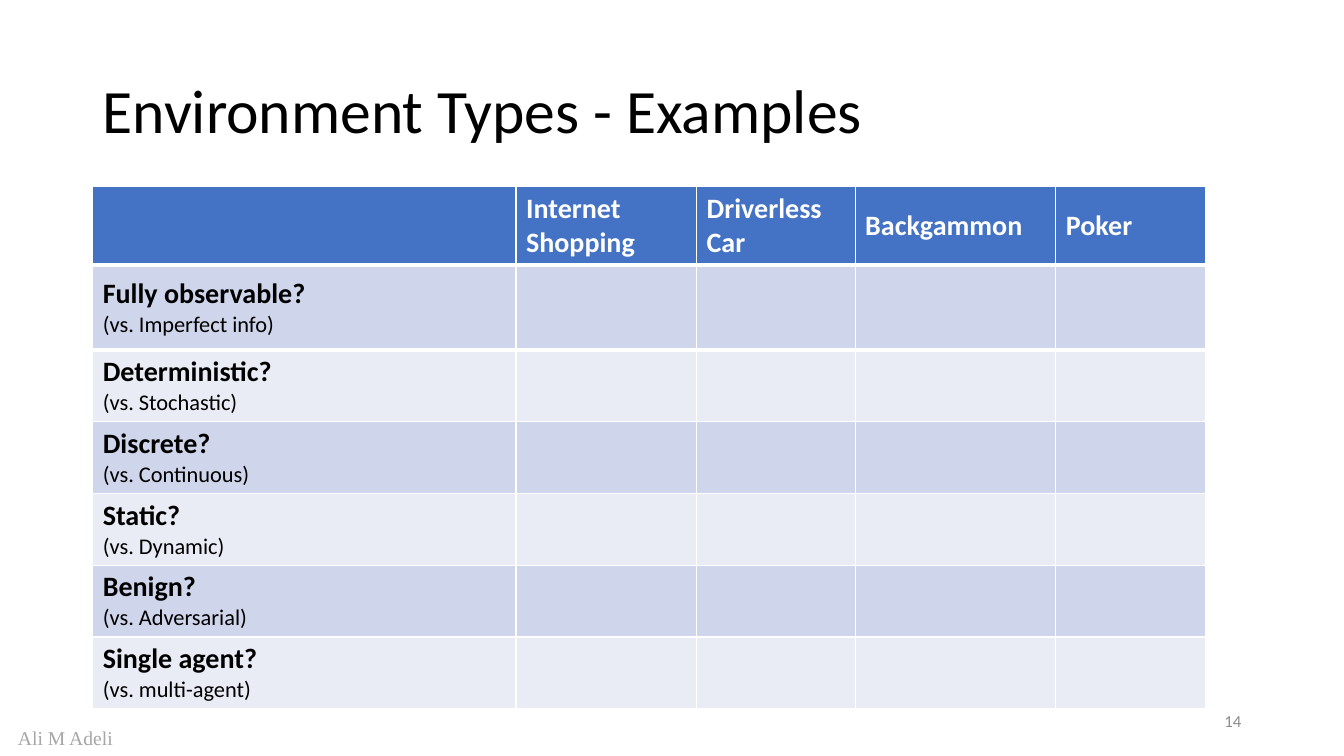
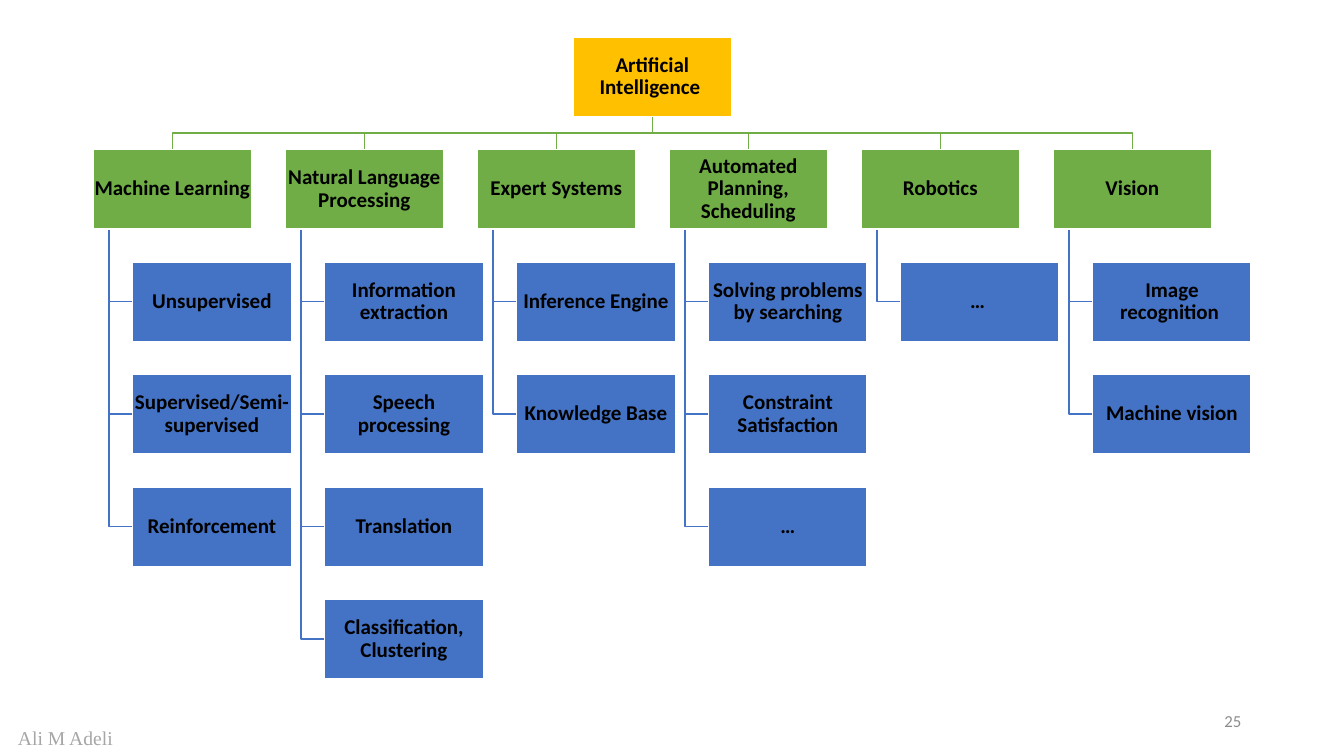
"""Build two slides: a table of environment types and a tree of AI fields."""
from lxml import etree
from pptx import Presentation
from pptx.dml.color import RGBColor
from pptx.enum.shapes import MSO_SHAPE
from pptx.enum.text import MSO_ANCHOR, PP_ALIGN
from pptx.oxml.ns import qn
from pptx.util import Inches, Pt

RECT = MSO_SHAPE.RECTANGLE
TOP, MIDDLE = MSO_ANCHOR.TOP, MSO_ANCHOR.MIDDLE
LEFT, CENTER, RIGHT = PP_ALIGN.LEFT, PP_ALIGN.CENTER, PP_ALIGN.RIGHT

WHITE, BLACK, GREY, SILVER = "FFFFFF", "000000", "8C8C8C", "A6A6A6"
BLUE, GREEN, GOLD = "4472C4", "70AD47", "FFC000"
BANDS = "CFD5EA", "E9EBF5"
SANS, SERIF = "Calibri", "Times New Roman"

MARGIN = 6.9
COL, ROW = 100 / 7, 14.88
BOX_W, BOX_H = 11.8, 10.5
TREE_LEFT, TREE_TOP = 6.92, 4.9

WIDTHS = 31.5, 13.43, 11.8, 14.93, 11.14
HEIGHTS = [10.4, 11.2] + [9.5] * 5
HEADS = "", "Internet Shopping", "Driverless Car", "Backgammon", "Poker"
TRAITS = [
    ("Fully observable?", "(vs. Imperfect info)"),
    ("Deterministic?", "(vs. Stochastic)"),
    ("Discrete?", "(vs. Continuous)"),
    ("Static?", "(vs. Dynamic)"),
    ("Benign?", "(vs. Adversarial)"),
    ("Single agent?", "(vs. multi-agent)"),
]
FIELDS = {
    "Machine Learning": ["Unsupervised", "Supervised/Semi-supervised", "Reinforcement"],
    "Natural Language Processing": ["Information extraction", "Speech processing",
                                    "Translation", "Classification, Clustering"],
    "Expert Systems": ["Inference Engine", "Knowledge Base"],
    "Automated Planning, Scheduling": ["Solving problems by searching",
                                       "Constraint Satisfaction", "…"],
    "Robotics": ["… "],
    "Vision": ["Image recognition ", "Machine vision"],
}


def color(code):
    return RGBColor.from_string(code)


class Deck:
    def __init__(self):
        self.prs = Presentation()
        self.prs.slide_width, self.prs.slide_height = Inches(13.33), Inches(7.5)
        self.slide = None

    def across(self, share):
        return round(self.prs.slide_width * share / 100)

    def down(self, share):
        return round(self.prs.slide_height * share / 100)

    def place(self, x, y, w, h):
        return self.across(x), self.down(y), self.across(w), self.down(h)

    def start(self, number):
        self.slide = self.prs.slides.add_slide(self.prs.slide_layouts[6])
        self.text((0.6, 95.33, 11, 4.5), "Ali M Adeli", 14, SILVER, face=SERIF, anchor=TOP)
        self.text((70.6, 92.67, 22.5, 5.33), str(number), 12, GREY, align=RIGHT)

    def style(self, para, text, size, code, bold=False, face=SANS, align=LEFT):
        para.text = text
        para.alignment = align
        font = para.font
        font.name, font.size, font.bold = face, Pt(size), bold
        font.color.rgb = color(code)

    def text(self, area, text, size, code, face=SANS, align=LEFT, anchor=MIDDLE):
        frame = self.slide.shapes.add_textbox(*self.place(*area)).text_frame
        frame.word_wrap = True
        frame.vertical_anchor = anchor
        self.style(frame.paragraphs[0], text, size, code, face=face, align=align)
        return frame.paragraphs[0]

    def title(self, text):
        self.text((MARGIN, 5.33, 86.25, 19.33), text, 44, BLACK).line_spacing = 0.9

    def cell(self, cell, fill, lines):
        cell.fill.solid()
        cell.fill.fore_color.rgb = color(fill)
        cell.vertical_anchor = MIDDLE
        frame = cell.text_frame
        for i, line in enumerate(lines):
            para = frame.add_paragraph() if i else frame.paragraphs[0]
            self.style(para, *line)

    def edge(self, cell, side):
        rule = etree.Element(qn(side), w=str(Pt(3)))
        fill = etree.SubElement(rule, qn("a:solidFill"))
        etree.SubElement(fill, qn("a:srgbClr"), val=WHITE)
        cell._tc.get_or_add_tcPr().insert(0, rule)

    def table(self, x, y):
        area = self.place(x, y, sum(WIDTHS), sum(HEIGHTS))
        table = self.slide.shapes.add_table(len(HEIGHTS), len(WIDTHS), *area).table
        for column, width in zip(table.columns, WIDTHS):
            column.width = self.across(width)
        for row, height in zip(table.rows, HEIGHTS):
            row.height = self.down(height)
        for r, (trait, versus) in enumerate(TRAITS):
            label = [(trait, 20, BLACK, True), (versus, 16, BLACK)]
            for c in range(len(HEADS)):
                self.cell(table.cell(r + 1, c), BANDS[r % 2], [] if c else label)
        for c, head in enumerate(HEADS):
            self.cell(table.cell(0, c), BLUE, [(head, 20, WHITE, True)])
            self.edge(table.cell(0, c), "a:lnB")
            self.edge(table.cell(1, c), "a:lnT")

    def box(self, x, y, fill, text):
        box = self.slide.shapes.add_shape(RECT, *self.place(x, y, BOX_W, BOX_H))
        box.shadow.inherit = False
        box.fill.solid()
        box.fill.fore_color.rgb = color(fill)
        box.line.color.rgb = color(WHITE)
        box.line.width = Pt(1)
        frame = box.text_frame
        frame.word_wrap = True
        frame.vertical_anchor = MIDDLE
        frame.margin_left = frame.margin_right = Inches(0.01)
        frame.margin_top = frame.margin_bottom = Inches(0.01)
        para = frame.paragraphs[0]
        self.style(para, text, 15, BLACK, True, align=CENTER)
        para.line_spacing = 0.9

    def bend(self, code, *points):
        first, *rest = [(self.across(x), self.down(y)) for x, y in points]
        pen = self.slide.shapes.build_freeform(*first)
        pen.add_line_segments(rest, close=False)
        path = pen.convert_to_shape()
        path.shadow.inherit = False
        path.fill.background()
        path.line.color.rgb = color(code)
        path.line.width = Pt(1)

    def tree(self, name, fields):
        root = TREE_LEFT + (len(fields) - 1) / 2 * COL
        mid, foot = root + BOX_W / 2, TREE_TOP + BOX_H
        head = TREE_TOP + ROW
        bar = (foot + head) / 2
        boxes = [(root, TREE_TOP, GOLD, name)]
        for col, (field, leaves) in enumerate(fields.items()):
            x = TREE_LEFT + col * COL
            stem = x + BOX_W / 2
            self.bend(GREEN, (mid, foot), (mid, bar), (stem, bar), (stem, head))
            boxes.append((x, head, GREEN, field))
            trunk, edge = x + BOX_W / 10, x + BOX_W / 4
            for row, leaf in enumerate(leaves, 1):
                y = head + row * ROW
                half = y + BOX_H / 2
                self.bend(BLUE, (trunk, head + BOX_H), (trunk, half), (edge, half))
                boxes.append((edge, y, BLUE, leaf))
        for box in boxes:
            self.box(*box)


def main():
    deck = Deck()
    deck.start(14)
    deck.title("Environment Types - Examples")
    deck.table(MARGIN, 24.67)
    deck.start(25)
    deck.tree("Artificial Intelligence ", FIELDS)
    deck.prs.save("out.pptx")


if __name__ == "__main__":
    main()
